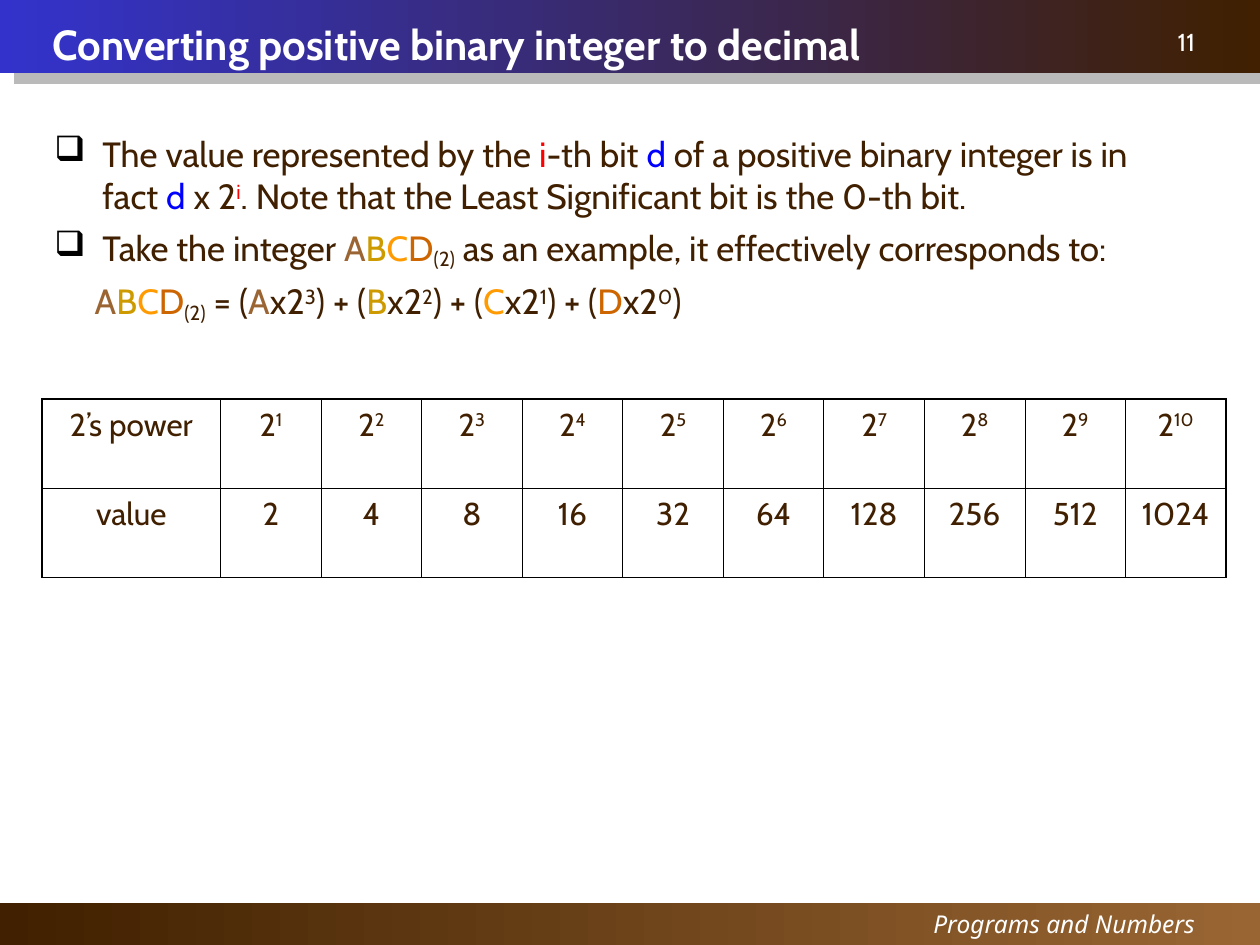
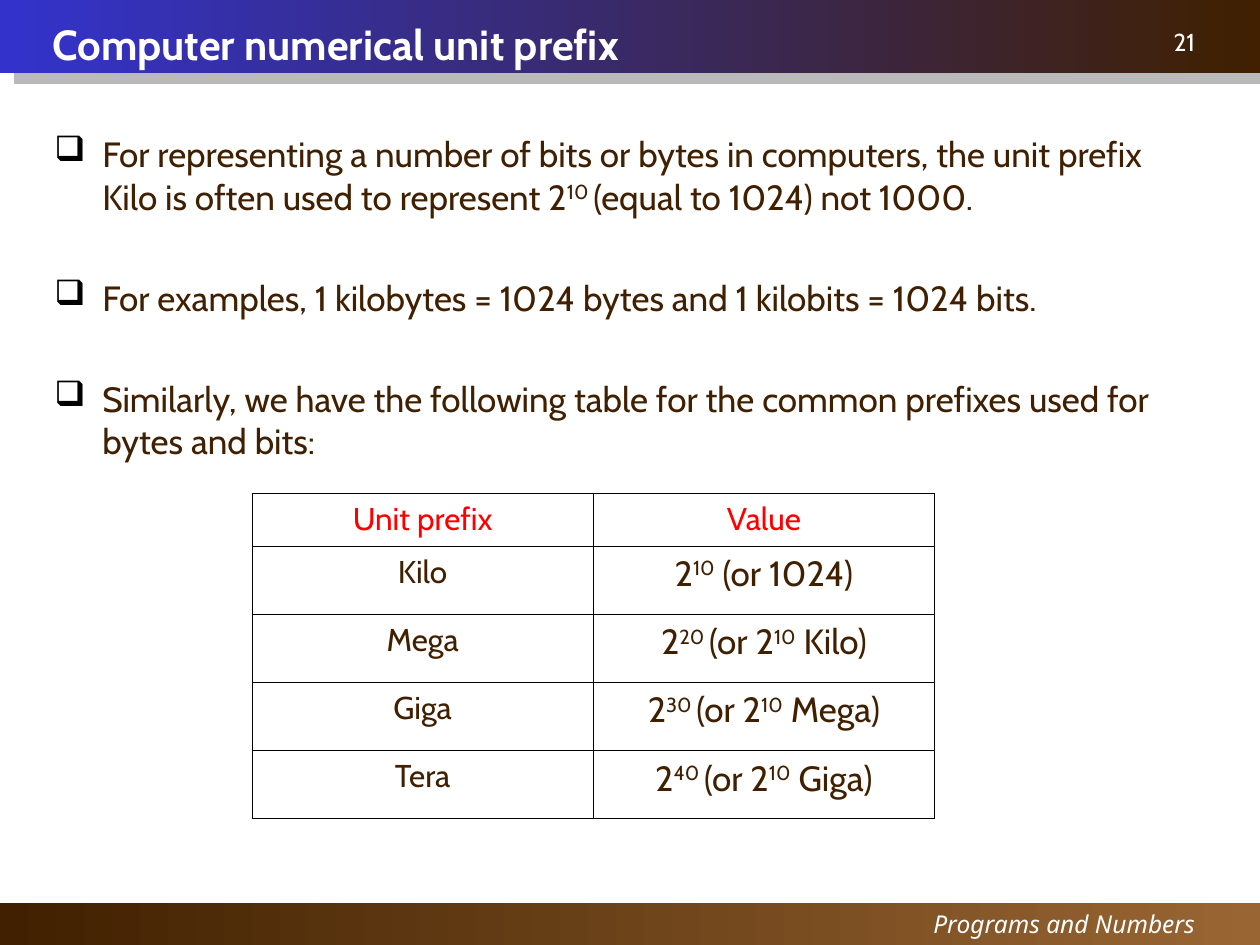
from dataclasses import dataclass

from lxml import etree
from pptx import Presentation
from pptx.dml.color import RGBColor
from pptx.enum.shapes import MSO_SHAPE
from pptx.enum.text import MSO_ANCHOR, MSO_AUTO_SIZE, PP_ALIGN
from pptx.oxml.ns import qn
from pptx.util import Inches, Pt

RECTANGLE = MSO_SHAPE.RECTANGLE
LEFT, CENTER, RIGHT = PP_ALIGN.LEFT, PP_ALIGN.CENTER, PP_ALIGN.RIGHT
MIDDLE = MSO_ANCHOR.MIDDLE
NO_AUTOFIT = MSO_AUTO_SIZE.NONE

BLACK = RGBColor(0x00, 0x00, 0x00)
WHITE = RGBColor(0xFF, 0xFF, 0xFF)
DARK_BROWN = RGBColor(0x40, 0x20, 0x00)
LIGHT_BROWN = RGBColor(0x99, 0x66, 0x33)
INDIGO = RGBColor(0x33, 0x33, 0xCC)
GRAY = RGBColor(0x77, 0x77, 0x77)
RED = RGBColor(0xFF, 0x00, 0x00)
BLUE = RGBColor(0x00, 0x00, 0xFF)
DIGIT_COLORS = {
    "A": RGBColor(0x9B, 0x65, 0x33),
    "B": RGBColor(0xCD, 0x9B, 0x00),
    "C": RGBColor(0xFF, 0x9B, 0x00),
    "D": RGBColor(0xCD, 0x65, 0x00),
}

COLUMNS, ROWS = 120, 90
BODY_FONT, FOOTER_FONT = "Cabin", "Noto Sans"
BODY_SIZE, CELL_SIZE, SMALL_SIZE, TITLE_SIZE = 20, 18, 14, 24
LINE_SPACING = 1.01
THIN, THICK = 0.45, 1.08


@dataclass
class Span:
    text: str
    color: RGBColor = None
    baseline: int = 0


def sup(text, color=None):
    return Span(text, color, 30)


def sub(text):
    return Span(text, baseline=-16)


def digit(letter):
    return Span(letter, DIGIT_COLORS[letter])


def add_color(parent, tag, color):
    """Append an element that holds one solid colour and return the colour."""
    holder = etree.SubElement(parent, qn(tag))
    return etree.SubElement(holder, qn("a:srgbClr"), val=str(color))


class Lecture:
    """The deck's style and its current page, placed on a 120 by 90 grid."""

    def __init__(self):
        self.deck = Presentation()
        self.deck.slide_width = Inches(10)
        self.deck.slide_height = Inches(7.5)
        self.layout = self.deck.slide_layouts.get_by_name("Title Only")
        self.page = None

    def across(self, columns):
        return round(self.deck.slide_width * columns / COLUMNS)

    def down(self, rows):
        return round(self.deck.slide_height * rows / ROWS)

    def frame(self, left, top, width, height):
        return self.across(left), self.down(top), self.across(width), self.down(height)

    def start_page(self, title, number):
        self.page = self.deck.slides.add_slide(self.layout)
        if len(self.deck.slides) == 1:
            self.share_band(86, 4, LIGHT_BROWN, DARK_BROWN)
            self.share_band(0, 7, DARK_BROWN, INDIGO, shadow=True)
        self.title(title)
        self.label("Programs and Numbers", (55, 86, 60, 4), FOOTER_FONT, italic=True)
        self.label(number, (90, 2, 25, 4), BODY_FONT)

    def share_band(self, top, height, right_color, left_color, shadow=False):
        """Draw a full-width gradient band and move it to the layout."""
        band = self.page.shapes.add_shape(RECTANGLE, *self.frame(0, top, COLUMNS, height))
        band.shadow.inherit = False
        band.line.fill.background()
        band.fill.gradient()
        band.fill.gradient_angle = 180
        for stop, color in zip(band.fill.gradient_stops, (right_color, left_color)):
            stop.color.rgb = color
        if shadow:
            effects = band._element.spPr.find(qn("a:effectLst"))
            color = add_color(effects, "a:outerShdw", GRAY)
            etree.SubElement(color, qn("a:alpha"), val="50000")
            settings = {"blurRad": 0, "dist": Pt(10.4), "dir": 35 * 60000,
                        "algn": "ctr", "rotWithShape": 0}
            for name, value in settings.items():
                effects[0].set(name, str(value))
        self.layout.shapes._spTree.insert(2, band._element)

    def fill_paragraph(self, paragraph, spans, size, color=DARK_BROWN, font=BODY_FONT,
                       align=LEFT):
        paragraph.alignment = align
        paragraph.font.name = font
        paragraph.font.size = Pt(size)
        paragraph.font.color.rgb = color
        for span in [spans] if isinstance(spans, str) else spans:
            if isinstance(span, str):
                span = Span(span)
            run = paragraph.add_run()
            run.text = span.text
            if span.color is not None:
                run.font.color.rgb = span.color
            if span.baseline:
                run._r.get_or_add_rPr().set("baseline", str(span.baseline * 1000))

    def title(self, text):
        box = self.page.shapes.title
        box.left, box.top, box.width, box.height = self.frame(5, 0.6, 110, 7)
        frame = box.text_frame
        frame.auto_size = NO_AUTOFIT
        frame.vertical_anchor = MIDDLE
        frame.margin_left = frame.margin_right = frame.margin_top = frame.margin_bottom = 0
        paragraph = frame.paragraphs[0]
        paragraph.line_spacing = LINE_SPACING
        paragraph.font.bold = True
        self.fill_paragraph(paragraph, text, TITLE_SIZE, WHITE)

    def text_box(self, place):
        box = self.page.shapes.add_textbox(*self.frame(*place))
        box.text_frame.word_wrap = True
        return box.text_frame

    def label(self, text, place, font, italic=False):
        paragraph = self.text_box(place).paragraphs[0]
        paragraph.font.italic = italic
        self.fill_paragraph(paragraph, text, SMALL_SIZE, WHITE, font, RIGHT)

    def bullets(self, height, items, gap=5, formula=None):
        """Add bulleted items, then a formula line without a bullet."""
        frame = self.text_box((4, 12, 110, height))
        lines = items + ([formula] if formula else [])
        for index, spans in enumerate(lines):
            paragraph = frame.add_paragraph() if index else frame.paragraphs[0]
            paragraph.line_spacing = LINE_SPACING
            paragraph.space_before = Pt(gap if index else 0)
            properties = paragraph._p.get_or_add_pPr()
            if spans is formula:
                properties.set("marL", str(Inches(0.32)))
            else:
                properties.set("marL", str(Inches(0.38)))
                properties.set("indent", str(-Inches(0.38)))
                add_color(properties, "a:buClr", BLACK)
                etree.SubElement(properties, qn("a:buChar"), char="❑")
            self.fill_paragraph(paragraph, spans, BODY_SIZE)

    def table(self, left, top, widths, heights, cells, outline=THIN, style=None):
        """Add a ruled table; style(row, column) gives a cell's size and colour."""
        place = self.frame(left, top, sum(widths), sum(heights))
        table = self.page.shapes.add_table(len(heights), len(widths), *place).table
        table.first_row = table.horz_banding = False
        for column, width in zip(table.columns, widths):
            column.width = self.across(width)
        for row, height in zip(table.rows, heights):
            row.height = self.down(height)
        last_row, last_column = len(heights) - 1, len(widths) - 1
        for row, line in enumerate(cells):
            for column, spans in enumerate(line):
                cell = table.cell(row, column)
                edges = {"a:lnL": column == 0, "a:lnR": column == last_column,
                         "a:lnT": row == 0, "a:lnB": row == last_row}
                for tag, is_outer in edges.items():
                    width = Pt(outline if is_outer else THIN)
                    border = etree.SubElement(cell._tc.get_or_add_tcPr(), qn(tag), w=str(width))
                    add_color(border, "a:solidFill", BLACK)
                cell.fill.background()
                paragraph = cell.text_frame.paragraphs[0]
                paragraph.line_spacing = LINE_SPACING
                size, color = style(row, column) if style else (CELL_SIZE, DARK_BROWN)
                self.fill_paragraph(paragraph, spans, size, color, align=CENTER)


def binary_to_decimal(lecture):
    lecture.start_page("Converting positive binary integer to decimal", "11")
    number = [digit(letter) for letter in DIGIT_COLORS] + [sub("(2)")]
    formula = number + [" = ("]
    for power, letter in zip((3, 2, 1, 0), DIGIT_COLORS):
        formula += [digit(letter), "x2", sup(str(power)), ") + (" if power else ")"]
    lecture.bullets(25, [
        ["The value represented by the ", Span("i", RED), "-th bit ", Span("d ", BLUE),
         "of a positive binary integer is in fact ", Span("d ", BLUE), "x 2", sup("i", RED),
         ". Note that the Least Significant bit is the 0-th bit."],
        ["Take the integer ", *number, " as an example, it effectively corresponds to:"],
    ], formula=formula)
    powers = range(1, 11)
    lecture.table(4, 38, [17] + [9.58] * len(powers), [8.5] * 2, [
        ["2’s power"] + [["2", sup(str(power))] for power in powers],
        ["value"] + [str(2 ** power) for power in powers],
    ], outline=THICK)


def unit_prefixes(lecture):
    lecture.start_page("Computer numerical unit prefix", "21")
    lecture.bullets(32, [
        ["For representing a number of bits or bytes in computers, the unit prefix Kilo "
         "is often used to represent 2", sup("10 "), "(equal to 1024) not 1000."],
        "For examples, 1 kilobytes = 1024 bytes and 1 kilobits = 1024 bits.",
        "Similarly, we have the following table for the common prefixes used for "
        "bytes and bits:",
    ], gap=33.5)

    prefixes = ["Kilo", "Mega", "Giga", "Tera"]
    cells = [["Unit prefix", "Value"], [prefixes[0], ["2", sup("10"), " (or 1024)"]]]
    for step, (smaller, prefix) in enumerate(zip(prefixes, prefixes[1:]), start=2):
        cells.append([prefix, ["2", sup(f"{step * 10} "), "(or 2", sup("10"), f" {smaller})"]])

    def style(row, column):
        if row == 0:
            return CELL_SIZE, RED
        return (BODY_SIZE if column else CELL_SIZE), DARK_BROWN

    lecture.table(24, 47, [32.5] * 2, [5] + [6.5] * len(prefixes), cells, style=style)


def main():
    lecture = Lecture()
    binary_to_decimal(lecture)
    unit_prefixes(lecture)
    lecture.deck.save("out.pptx")


if __name__ == "__main__":
    main()
